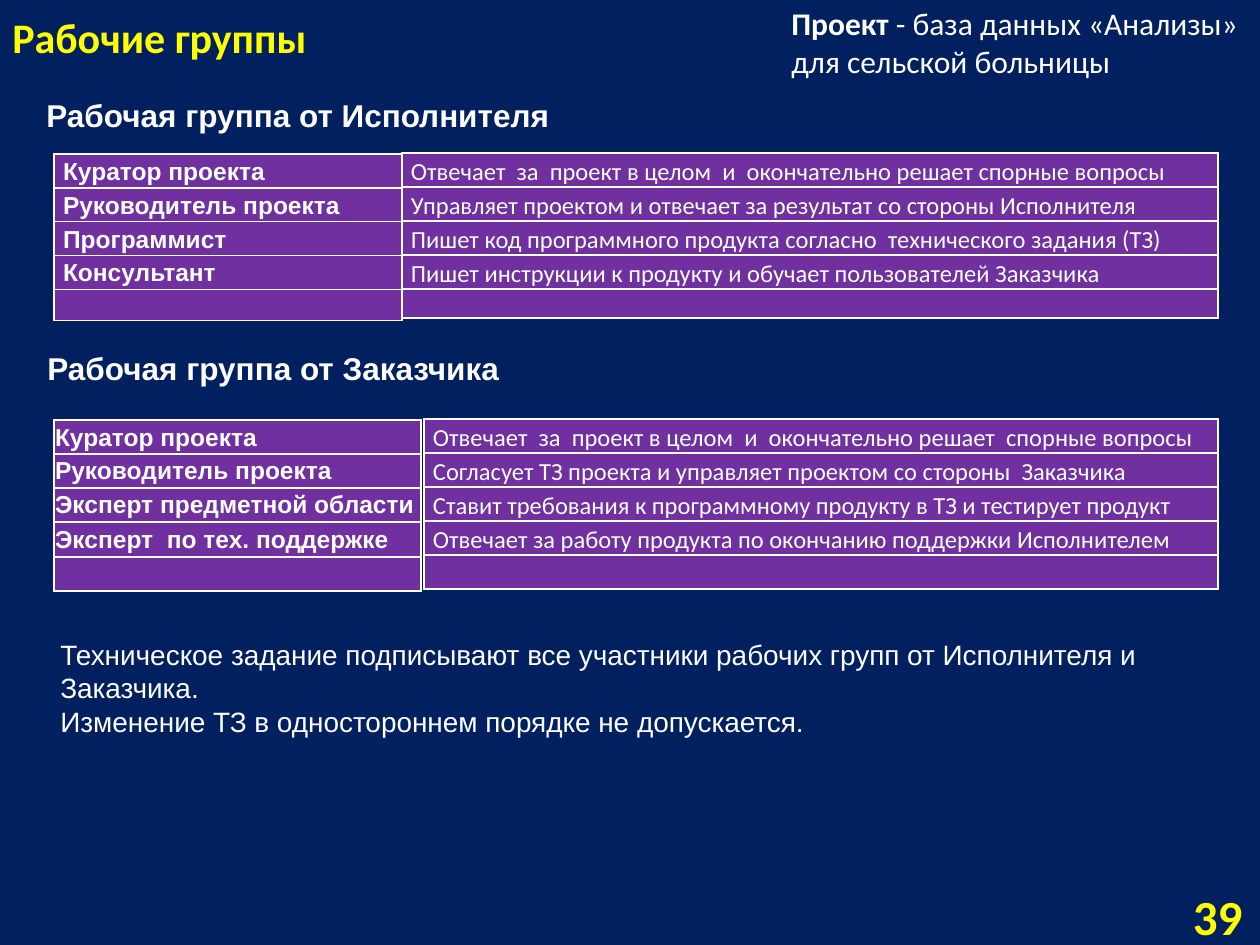
from dataclasses import dataclass

from lxml.etree import SubElement
from pptx import Presentation
from pptx.dml.color import RGBColor
from pptx.enum.shapes import MSO_SHAPE as Shape
from pptx.enum.text import MSO_ANCHOR as Anchor, PP_ALIGN as Align
from pptx.oxml.ns import qn
from pptx.util import Emu, Pt

PX_PER_INCH = 126
NAVY, PURPLE, WHITE, YELLOW = "002060", "7030A0", "FFFFFF", "FFFF00"


@dataclass(frozen=True)
class Box:
    left: int
    top: int
    width: int
    height: int


@dataclass(frozen=True)
class Column:
    """One single-column table; an empty row closes it."""
    box: Box
    row_heights: tuple[int, ...]
    rows: tuple[str, ...]
    font: str = "Calibri"
    bold: bool = False
    margins: tuple[int, int, int, int] = (9, 0, 9, 0)
    anchor: Anchor = Anchor.TOP
    line_spacing: float = 1.15
    space_after: int = 10


def px(length: int) -> Emu:
    return Emu(round(length * 914400 / PX_PER_INCH))


def place(box: Box) -> tuple[Emu, ...]:
    return px(box.left), px(box.top), px(box.width), px(box.height)


def color(value: str) -> RGBColor:
    return RGBColor.from_string(value)


def add_run(paragraph, text: str, *, size: int = 14, font: str = "Calibri",
            fill: str = WHITE, bold: bool = False) -> None:
    run = paragraph.add_run()
    run.text = text
    run.font.size, run.font.name, run.font.bold = Pt(size), font, bold
    run.font.color.rgb = color(fill)


def add_text(slide, box: Box, *lines: str, anchor: Anchor = Anchor.TOP, **style):
    frame = slide.shapes.add_textbox(*place(box)).text_frame
    frame.word_wrap = True
    frame.vertical_anchor = anchor
    for number, line in enumerate(lines):
        paragraph = frame.add_paragraph() if number else frame.paragraphs[0]
        add_run(paragraph, line, **style)
    return frame


def add_borders(cell) -> None:
    properties = cell._tc.get_or_add_tcPr()
    for side in ("lnL", "lnR", "lnT", "lnB"):
        line = SubElement(properties, qn(f"a:{side}"), w=str(Pt(1)))
        fill = SubElement(line, qn("a:solidFill"))
        SubElement(fill, qn("a:srgbClr"), val=WHITE)


def add_column(slide, column: Column) -> None:
    heights = column.row_heights
    table = slide.shapes.add_table(len(heights), 1, *place(column.box)).table
    table.first_row = table.horz_banding = False
    for index, height in enumerate(heights):
        table.rows[index].height = px(height)
        cell = table.cell(index, 0)
        add_borders(cell)
        cell.fill.solid()
        cell.fill.fore_color.rgb = color(PURPLE)
        (cell.margin_left, cell.margin_top,
         cell.margin_right, cell.margin_bottom) = map(px, column.margins)
        cell.vertical_anchor = column.anchor
        paragraph = cell.text_frame.paragraphs[0]
        if index < len(column.rows):
            paragraph.line_spacing = column.line_spacing
            paragraph.space_after = Pt(column.space_after)
            add_run(paragraph, column.rows[index], font=column.font, bold=column.bold)
        else:
            SubElement(paragraph._p, qn("a:endParaRPr"), sz="1000")


def add_page_number(slide, box: Box, number: str) -> None:
    shape = slide.shapes.add_shape(Shape.RECTANGLE, *place(box))
    shape.shadow.inherit = False
    shape.fill.solid()
    shape.fill.fore_color.rgb = color(NAVY)
    shape.line.fill.background()
    shape.text_frame.vertical_anchor = Anchor.MIDDLE
    paragraph = shape.text_frame.paragraphs[0]
    paragraph.alignment = Align.RIGHT
    add_run(paragraph, number, size=28, fill=YELLOW, bold=True)


COLUMNS = (
    Column(Box(54, 154, 348, 158), (32, 32, 32, 31, 31),
           ("Куратор проекта", "Руководитель проекта", "Программист", "Консультант"),
           font="Arial", bold=True),
    Column(Box(54, 420, 367, 171), (34, 34, 34, 35, 34),
           ("Куратор проекта", "Руководитель проекта",
            "Эксперт предметной области", "Эксперт  по тех. поддержке"),
           font="Arial", bold=True, margins=(1, 1, 1, 0), anchor=Anchor.MIDDLE,
           line_spacing=1.0, space_after=0),
    Column(Box(402, 153, 816, 165), (34, 34, 34, 34, 29),
           ("Отвечает  за  проект в целом  и  окончательно решает спорные вопросы",
            "Управляет проектом и отвечает за результат со стороны Исполнителя",
            "Пишет код программного продукта согласно  технического задания (ТЗ)",
            "Пишет инструкции к продукту и обучает пользователей Заказчика")),
    Column(Box(424, 419, 794, 170), (34,) * 5,
           ("Отвечает  за  проект в целом  и  окончательно решает  спорные вопросы",
            "Согласует ТЗ проекта и управляет проектом со стороны  Заказчика",
            "Ставит требования к программному продукту в ТЗ и тестирует продукт",
            "Отвечает за работу продукта по окончанию поддержки Исполнителем")),
)


def main() -> None:
    presentation = Presentation()
    presentation.slide_width, presentation.slide_height = px(1260), px(945)
    slide = presentation.slides.add_slide(presentation.slide_layouts[6])
    slide.background.fill.solid()
    slide.background.fill.fore_color.rgb = color(NAVY)

    add_text(slide, Box(0, 0, 343, 68), "Рабочие группы",
             anchor=Anchor.BOTTOM, size=24, fill=YELLOW, bold=True)
    project = add_text(slide, Box(779, -2, 520, 89), "Проект", size=18, bold=True)
    add_run(project.paragraphs[0],
            " - база данных «Анализы» для сельской больницы", size=18)

    heading = dict(size=18, font="Arial", bold=True)
    add_text(slide, Box(34, 90, 674, 50), "Рабочая группа от Исполнителя", **heading)
    add_text(slide, Box(35, 343, 605, 50), "Рабочая группа от Заказчика", **heading)
    for column in COLUMNS:
        add_column(slide, column)

    add_text(slide, Box(48, 631, 1187, 115),
             "Техническое задание подписывают все участники рабочих групп "
             "от Исполнителя и Заказчика.",
             "Изменение ТЗ в одностороннем порядке не допускается.",
             size=16, font="Arial")
    add_page_number(slide, Box(1126, 891, 129, 50), "39")
    presentation.save("out.pptx")


if __name__ == "__main__":
    main()
